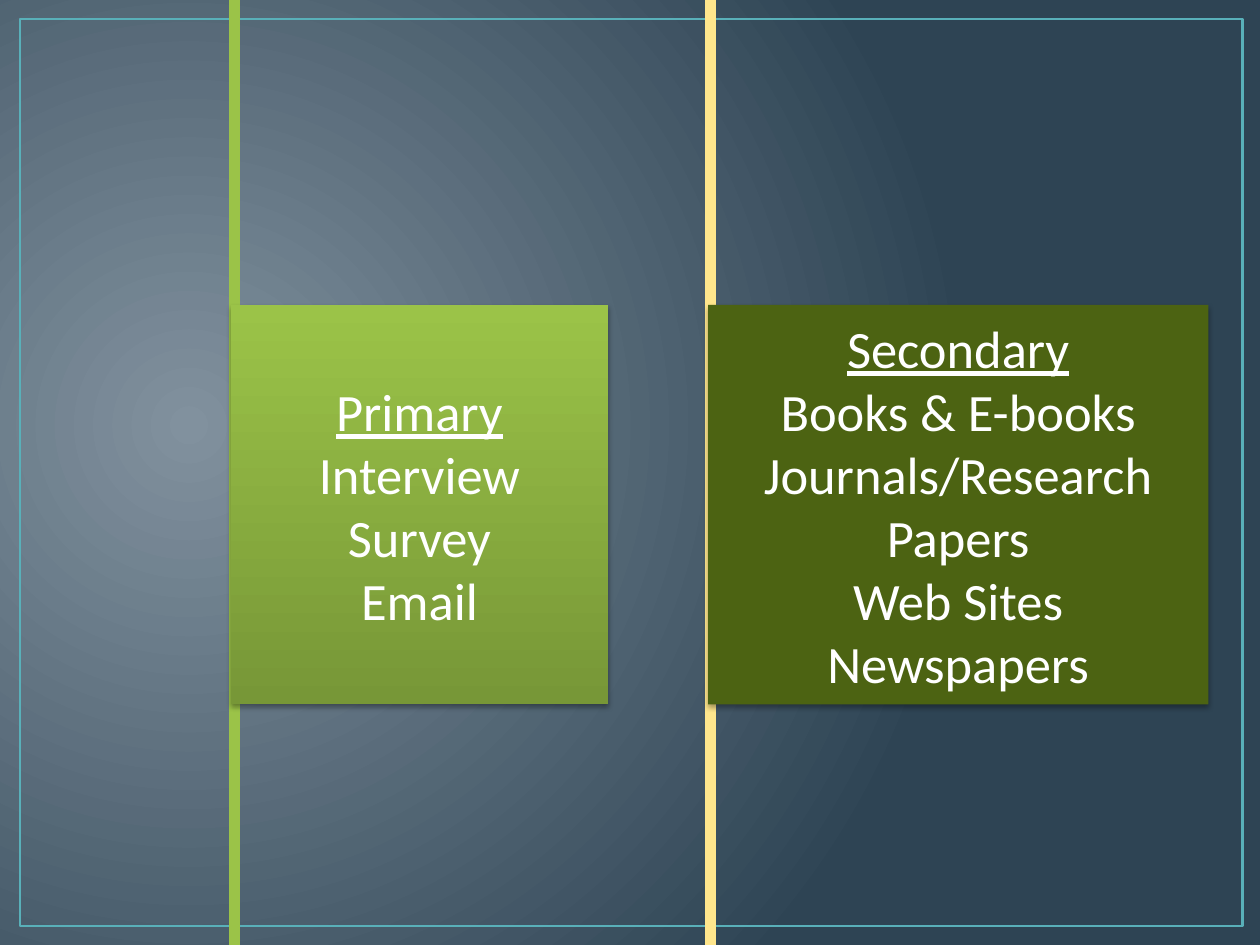
import pptx
import pptx.util
import pptx.dml.color
import pptx.enum.shapes
import pptx.enum.text
import pptx.oxml
import pptx.oxml.ns
from lxml import etree

Inches = pptx.util.Inches
Pt = pptx.util.Pt
qn = pptx.oxml.ns.qn
RECTANGLE = pptx.enum.shapes.MSO_SHAPE.RECTANGLE

COLORS = {
    "glow": "81919E", "night": "2E4454", "frame": "59B0B9",
    "green": "9BC348", "deep_green": "779737", "olive": "4C6312",
    "yellow": "FFE68C", "white": "FFFFFF", "shadow": "000000",
}


def rgb(name):
    return pptx.dml.color.RGBColor.from_string(COLORS[name])


def paint_gradient(fill, names):
    fill.gradient()
    for stop, name in zip(fill.gradient_stops, names):
        stop.color.rgb = rgb(name)


deck = pptx.Presentation()
deck.slide_width = Inches(10)
deck.slide_height = Inches(7.5)
page = deck.slides.add_slide(deck.slide_layouts[6])

paint_gradient(page.background.fill, ["glow", "night"])
gradient = page.element.find(".//" + qn("a:gradFill"))
gradient.remove(gradient.find(qn("a:lin")))
circle = etree.SubElement(gradient, qn("a:path"), {"path": "circle"})
center = {"l": "15000", "t": "50000", "r": "85000", "b": "60000"}
etree.SubElement(circle, qn("a:fillToRect"), center)

frame = page.shapes.add_shape(RECTANGLE, Inches(0.16), Inches(0.15), Inches(9.7), Inches(7.2))
frame.shadow.inherit = False
frame.fill.background()
frame.line.color.rgb = rgb("frame")
frame.line.width = Pt(1.5)

panels = [
    {"bar_x": 1.86, "bar": "green", "left": 1.83, "width": 3, "fill": ["deep_green", "green"],
     "lines": ["Primary", "Interview", "Survey", "Email"]},
    {"bar_x": 5.64, "bar": "yellow", "left": 5.62, "width": 3.97, "fill": ["olive"],
     "lines": ["Secondary", "Books & E-books", "Journals/Research Papers", "Web Sites", "Newspapers"]},
]
text_format = {"name": "Calibri", "size": Pt(30)}

for panel in panels:
    bar_x = Inches(panel["bar_x"])
    bar = page.shapes.add_connector(
        pptx.enum.shapes.MSO_CONNECTOR.STRAIGHT, bar_x, 0, bar_x, deck.slide_height)
    bar.line.color.rgb = rgb(panel["bar"])
    bar.line.width = Pt(6)
    etree.SubElement(bar.element.spPr, qn("a:effectLst"))

    box = page.shapes.add_shape(
        RECTANGLE, Inches(panel["left"]), Inches(2.42), Inches(panel["width"]), Inches(3.17))
    box.line.fill.background()
    if len(panel["fill"]) == 2:
        paint_gradient(box.fill, panel["fill"])
        box.fill.gradient_angle = 90
    else:
        box.fill.solid()
        box.fill.fore_color.rgb = rgb(panel["fill"][0])

    box.shadow.inherit = False
    effects = box.element.spPr.find(qn("a:effectLst"))
    shadow = etree.SubElement(effects, qn("a:outerShdw"), {
        "blurRad": str(Pt(3.1)), "dist": str(Pt(1.8)), "dir": "5400000", "rotWithShape": "0"})
    shade = etree.SubElement(shadow, qn("a:srgbClr"), {"val": COLORS["shadow"]})
    etree.SubElement(shade, qn("a:alpha"), {"val": "35000"})

    frame_text = box.text_frame
    frame_text.word_wrap = True
    frame_text.vertical_anchor = pptx.enum.text.MSO_ANCHOR.MIDDLE
    for index, line in enumerate(panel["lines"]):
        para = frame_text.add_paragraph() if index else frame_text.paragraphs[0]
        para.alignment = pptx.enum.text.PP_ALIGN.CENTER
        span = para.add_run()
        span.text = line
        for key, value in text_format.items():
            setattr(span.font, key, value)
        span.font.underline = index == 0
        span.font.color.rgb = rgb("white")

deck.save("out.pptx")
